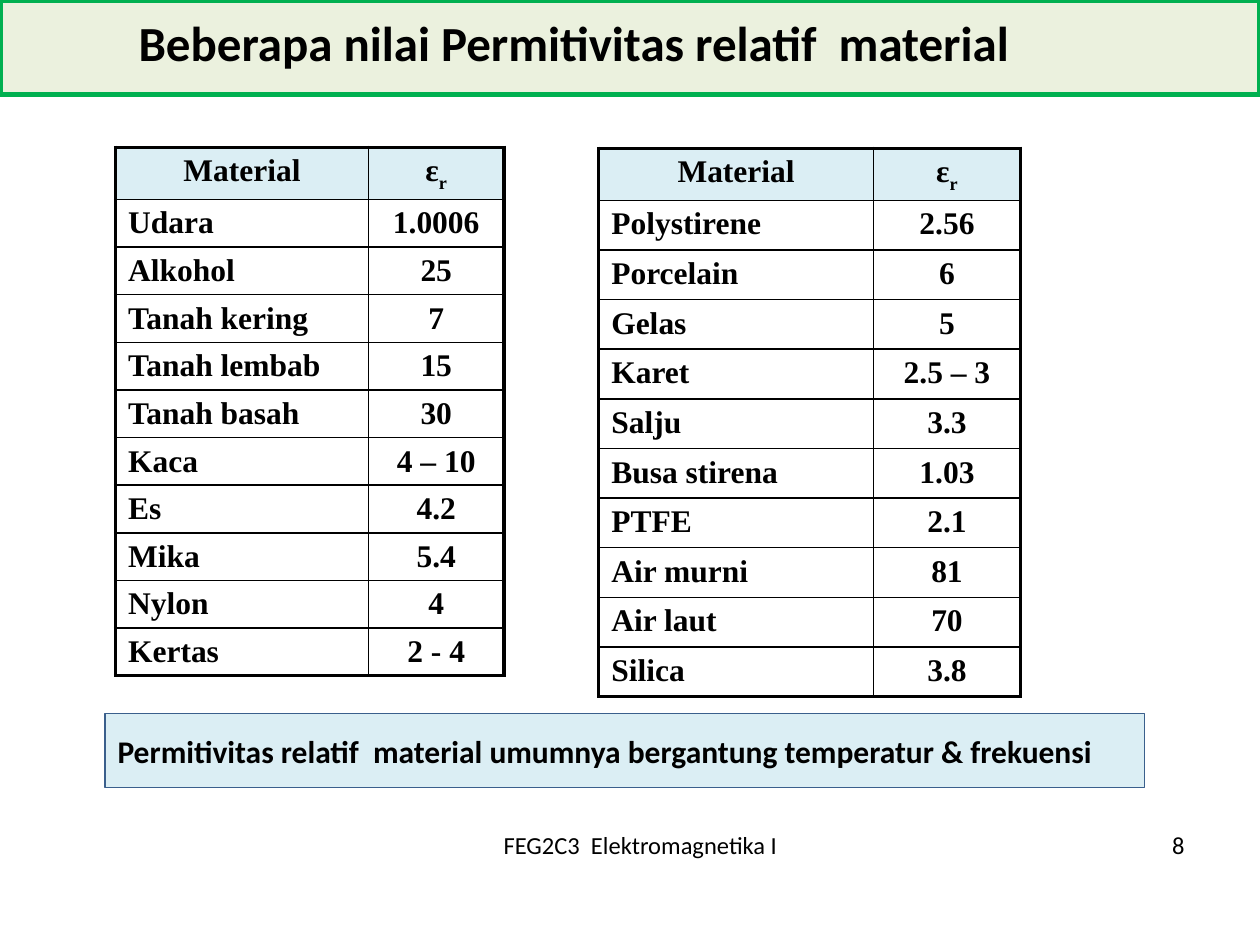
from dataclasses import dataclass

from lxml import etree
from pptx import Presentation
from pptx.dml.color import RGBColor
from pptx.enum import shapes, text
from pptx.oxml.ns import qn
from pptx.util import Cm, Pt

TITLE = "Beberapa nilai Permitivitas relatif  material"
NOTE = "Permitivitas relatif  material umumnya bergantung temperatur & frekuensi"
COURSE = "FEG2C3  Elektromagnetika I"
PAGE = "8"
HEADER = ("Material", "εr")
COMMON = [
    ("Udara", "1.0006"), ("Alkohol", "25"), ("Tanah kering", "7"),
    ("Tanah lembab", "15"), ("Tanah basah", "30"), ("Kaca", "4 – 10"),
    ("Es", "4.2"), ("Mika", "5.4"), ("Nylon", "4"), ("Kertas", "2 - 4"),
]
OTHERS = [
    ("Polystirene", "2.56"), ("Porcelain", "6"), ("Gelas", "5"),
    ("Karet", "2.5 – 3"), ("Salju", "3.3"), ("Busa stirena", "1.03"),
    ("PTFE", "2.1"), ("Air murni", "81"), ("Air laut", "70"), ("Silica", "3.8"),
]
# rows, left, top, column widths, body row height (all in cm)
TABLES = [
    (COMMON, 2.33, 2.97, (5.1, 2.73), 0.96),
    (OTHERS, 12.07, 2.99, (5.54, 2.96), 1.0),
]
HEADER_HEIGHT = 1.05


@dataclass(frozen=True)
class Theme:
    ink: str = "000000"
    band: str = "EBF1DE"
    band_edge: str = "00B050"
    tint: str = "DBEEF4"
    note_edge: str = "3A5F8C"
    sans: str = "Calibri"
    serif: str = "Times New Roman"
    title_size: float = 28
    body_size: float = 18
    footer_size: float = 14
    outer_line: float = 2.25
    inner_line: float = 1


THEME = Theme()
ALIGN = text.PP_ALIGN


def write(frame, words, size, face=THEME.sans, bold=True, align=ALIGN.LEFT,
          anchor=text.MSO_ANCHOR.MIDDLE):
    frame.text = words
    frame.word_wrap = True
    frame.vertical_anchor = anchor
    paragraph = frame.paragraphs[0]
    paragraph.alignment = align
    for run in paragraph.runs:
        style(run, size, face, bold)
    return paragraph


def style(run, size, face, bold):
    run.font.size = Pt(size)
    run.font.name = face
    run.font.bold = bold
    run.font.color.rgb = RGBColor.from_string(THEME.ink)


def add_panel(slide, box, fill, edge, width):
    panel = slide.shapes.add_shape(shapes.MSO_SHAPE.RECTANGLE, *map(Cm, box))
    panel.shadow.inherit = False
    panel.fill.solid()
    panel.fill.fore_color.rgb = RGBColor.from_string(fill)
    panel.line.color.rgb = RGBColor.from_string(edge)
    panel.line.width = Pt(width)
    return panel


def set_borders(cell, outer_sides):
    """Draw all four cell edges, thicker on the table's outside."""
    properties = cell._tc.get_or_add_tcPr()
    for position, side in enumerate("LRTB"):
        width = THEME.outer_line if side in outer_sides else THEME.inner_line
        line = etree.Element(qn(f"a:ln{side}"), w=str(Pt(width)))
        fill = etree.SubElement(line, qn("a:solidFill"))
        etree.SubElement(fill, qn("a:srgbClr"), val=THEME.ink)
        properties.insert(position, line)


def add_material_table(slide, materials, left, top, widths, row_height):
    rows = [HEADER, *materials]
    heights = [HEADER_HEIGHT] + [row_height] * len(materials)
    table = slide.shapes.add_table(
        len(rows), len(widths), Cm(left), Cm(top),
        Cm(sum(widths)), Cm(sum(heights))).table
    table.first_row = table.horz_banding = False
    for column, width in zip(table.columns, widths):
        column.width = Cm(width)
    for r, (values, height) in enumerate(zip(rows, heights)):
        table.rows[r].height = Cm(height)
        for c, value in enumerate(values):
            cell = table.cell(r, c)
            cell.margin_top, cell.margin_bottom = Cm(0.13), Cm(0.05)
            is_header = r == 0
            centred = is_header or c == 1
            paragraph = write(
                cell.text_frame, value, THEME.body_size, THEME.serif,
                align=ALIGN.CENTER if centred else ALIGN.LEFT,
                anchor=text.MSO_ANCHOR.TOP)
            if is_header:
                cell.fill.solid()
                cell.fill.fore_color.rgb = RGBColor.from_string(THEME.tint)
                if c == 1:
                    symbol = paragraph.runs[0]
                    symbol.text, subscript = value[0], paragraph.add_run()
                    subscript.text = value[1:]
                    style(subscript, THEME.body_size, THEME.serif, True)
                    subscript._r.get_or_add_rPr().set("baseline", "-25000")
            else:
                cell.fill.background()
            outer = "LR"[c] + ("T" if is_header else "")
            set_borders(cell, outer + ("B" if r == len(materials) else ""))


def main():
    deck = Presentation()
    deck.slide_width, deck.slide_height = Cm(25.4), Cm(19.05)
    slide = deck.slides.add_slide(deck.slide_layouts[5])

    band = add_panel(slide, (0, 0, 25.4, 1.9), THEME.band, THEME.band_edge, 3)
    slide.shapes._spTree.insert(2, band._element)  # behind the title

    title = slide.shapes.title
    title.left, title.top, title.width, title.height = map(
        Cm, (2.54, 0, 20.53, 1.7))
    write(title.text_frame, TITLE, THEME.title_size)

    for words, box, align in [
        (PAGE, (18.2, 16.51, 5.93, 1.02), ALIGN.RIGHT),
        (COURSE, (8.89, 16.51, 8.04, 1.02), ALIGN.CENTER),
    ]:
        footer = slide.shapes.add_textbox(*map(Cm, box))
        write(footer.text_frame, words, THEME.footer_size, bold=False, align=align)

    for layout in TABLES:
        add_material_table(slide, *layout)

    note = add_panel(slide, (2.12, 14.39, 20.95, 1.48),
                     THEME.tint, THEME.note_edge, 0.75)
    write(note.text_frame, NOTE, THEME.body_size)

    deck.save("out.pptx")


if __name__ == "__main__":
    main()
